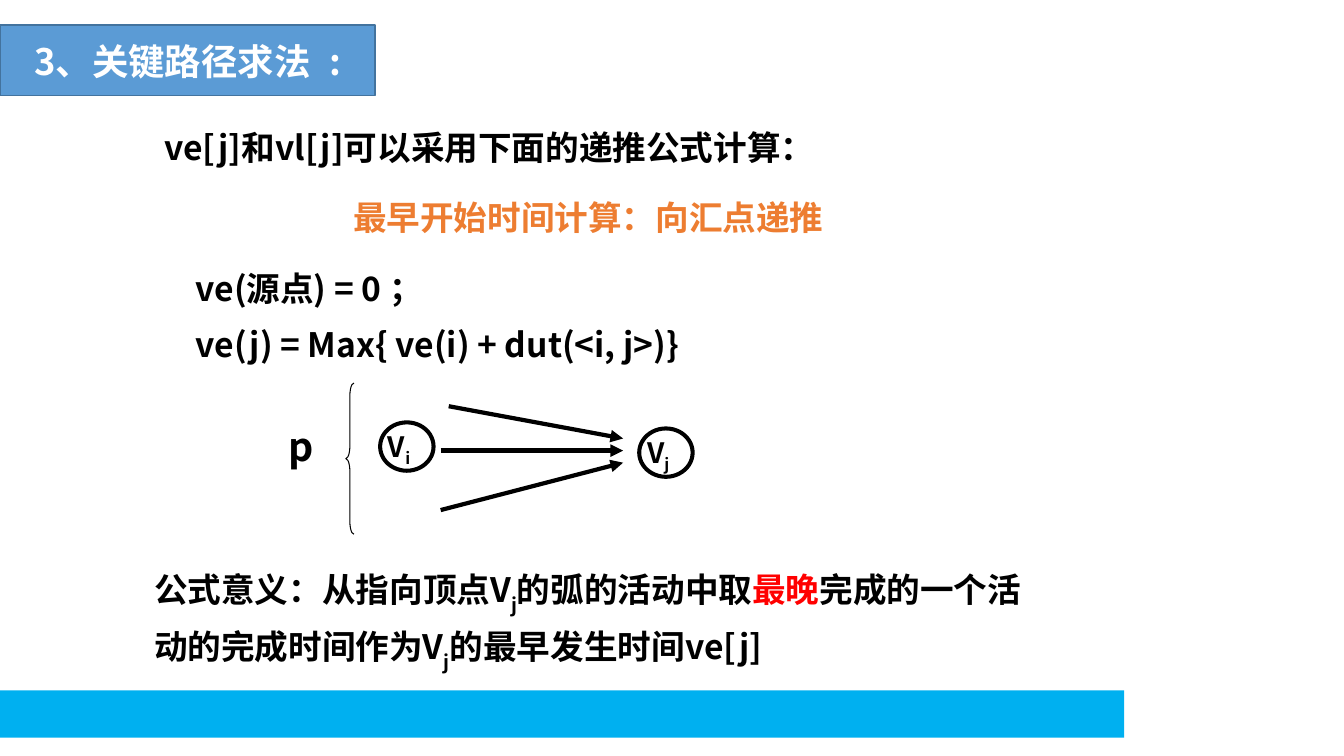
from dataclasses import dataclass

from lxml.etree import SubElement
from pptx import Presentation
from pptx.dml.color import RGBColor
from pptx.enum.shapes import MSO_CONNECTOR, MSO_SHAPE
from pptx.enum.text import MSO_ANCHOR, PP_ALIGN
from pptx.oxml.ns import qn
from pptx.util import Inches, Pt

FONT = "Noto Sans CJK SC"
COLOURS = {
    "ink": "000000",
    "paper": "FFFFFF",
    "banner": "5B9BD5",
    "banner_edge": "43739E",
    "footer": "00B0F0",
    "heading": "ED7D31",
    "stress": "FF0000",
}


@dataclass
class Box:
    left: float
    top: float
    width: float
    height: float

    def point(self, x, y):
        return (round(self.left + self.width * x / 100),
                round(self.top + self.height * y / 100))

    def share(self, x, y, width, height):
        return Box(*self.point(x, y), round(self.width * width / 100),
                   round(self.height * height / 100))

    def place(self):
        return self.left, self.top, self.width, self.height


def colour(name):
    return RGBColor.from_string(COLOURS[name])


def add_run(paragraph, text, size, ink="ink", baseline=0, spacing=0):
    run = paragraph.add_run()
    run.text = text
    run.font.size = Pt(size)
    run.font.bold = True
    run.font.name = FONT
    run.font.color.rgb = colour(ink)
    properties = run._r.get_or_add_rPr()
    SubElement(properties, qn("a:ea")).set("typeface", FONT)
    if baseline:
        properties.set("baseline", str(baseline * 1000))
    if spacing:
        properties.set("spc", str(spacing * 100))


def remove_insets(frame):
    frame.margin_left = frame.margin_right = 0
    frame.margin_top = frame.margin_bottom = 0


def add_text_frame(slide, box, wrap=True):
    frame = slide.shapes.add_textbox(*box.place()).text_frame
    frame.word_wrap = wrap
    return frame


def add_outline(slide, kind, box, fill=None, edge=None, weight=1):
    shape = slide.shapes.add_shape(kind, *box.place())
    shape.shadow.inherit = False
    if fill:
        shape.fill.solid()
        shape.fill.fore_color.rgb = colour(fill)
    else:
        shape.fill.background()
    if edge:
        shape.line.color.rgb = colour(edge)
        shape.line.width = Pt(weight)
    else:
        shape.line.fill.background()
    return shape


def add_footer(slide, box):
    add_outline(slide, MSO_SHAPE.RECTANGLE, box, fill="footer")


def add_title(slide, box):
    banner = add_outline(slide, MSO_SHAPE.RECTANGLE, box, "banner", "banner_edge")
    banner.text_frame.vertical_anchor = MSO_ANCHOR.MIDDLE
    title = banner.text_frame.paragraphs[0]
    title.alignment = PP_ALIGN.CENTER
    add_run(title, "3、关键路径求法", 26, "paper")
    add_run(title, " ", 26, "paper", spacing=7)
    add_run(title, ":", 26, "paper")


def add_formulas(slide, box):
    lines = [
        ("ve[j]和vl[j]可以采用下面的递推公式计算：", "ink", PP_ALIGN.LEFT, 0, 0),
        ("最早开始时间计算：向汇点递推", "heading", PP_ALIGN.CENTER, 0, 10),
        ("ve(源点) = 0 ；", "ink", PP_ALIGN.LEFT, 0.31, 10),
        ("ve(j) = Max{ ve(i) + dut(<i, j>)}", "ink", PP_ALIGN.LEFT, 0.31, 0),
    ]
    frame = add_text_frame(slide, box)
    for number, (text, ink, alignment, indent, before) in enumerate(lines):
        line = frame.add_paragraph() if number else frame.paragraphs[0]
        line.alignment = alignment
        line.line_spacing = 1.4
        line.space_before = Pt(before)
        line._p.get_or_add_pPr().set("marL", str(Inches(indent)))
        add_run(line, text, 24, ink)


def add_vertex(slide, box, index):
    vertex = add_outline(slide, MSO_SHAPE.OVAL, box, edge="ink", weight=2.88)
    frame = vertex.text_frame
    remove_insets(frame)
    frame.vertical_anchor = MSO_ANCHOR.TOP
    label = frame.paragraphs[0]
    label.alignment = PP_ALIGN.LEFT
    add_run(label, "V", 20)
    add_run(label, index, 20, baseline=-25)


def add_arc(slide, start, end):
    arc = slide.shapes.add_connector(MSO_CONNECTOR.STRAIGHT, *start, *end)
    arc.line.color.rgb = colour("ink")
    arc.line.width = Pt(3)
    outline = arc._element.spPr.find(qn("a:ln"))
    SubElement(outline, qn("a:tailEnd")).set("type", "triangle")
    SubElement(arc._element.spPr, qn("a:effectLst"))


def add_graph(slide, box):
    set_name = add_text_frame(slide, box.share(0, 26, 5, 31.33), wrap=False)
    remove_insets(set_name)
    add_run(set_name.paragraphs[0], "p", 28)
    brace = add_outline(slide, MSO_SHAPE.LEFT_BRACE, box.share(14.21, 0, 2, 100),
                        edge="ink", weight=0.75)
    brace.adjustments[0] = 1.56
    for index, x, y in [("i", 22.69, 26), ("j", 86.78, 30)]:
        add_vertex(slide, box.share(x, y, 13.22, 32), index)
    for x, start_y, end_y in [(37.66, 84, 52.67), (37.66, 44.67, 44.67),
                              (39.65, 15.33, 36.67)]:
        add_arc(slide, box.point(x, start_y), box.point(82.79, end_y))


def add_meaning(slide, box):
    meaning = add_text_frame(slide, box).paragraphs[0]
    meaning.line_spacing = 1.2
    for text, ink, baseline in [
        ("公式意义：从指向顶点V", "ink", 0),
        ("j", "ink", -30),
        ("的弧的活动中取", "ink", 0),
        ("最晚", "stress", 0),
        ("完成的一个活动的完成时间作为V", "ink", 0),
        ("j", "ink", -30),
        ("的最早发生时间ve[j]", "ink", 0),
    ]:
        add_run(meaning, text, 24, ink, baseline)


def main():
    deck = Presentation()
    deck.slide_width, deck.slide_height = Inches(13.33), Inches(7.5)
    slide = deck.slides.add_slide(deck.slide_layouts[6])
    page = Box(0, 0, deck.slide_width, deck.slide_height)
    add_footer(slide, page.share(0, 91.33, 83.65, 6.27))
    add_title(slide, page.share(0, 3.33, 27.91, 9.33))
    add_formulas(slide, page.share(11.48, 14, 64.59, 35.07))
    add_graph(slide, page.share(21.46, 50.67, 30.08, 20))
    add_meaning(slide, page.share(10.73, 73.33, 66.09, 14.27))
    deck.save("out.pptx")


if __name__ == "__main__":
    main()
